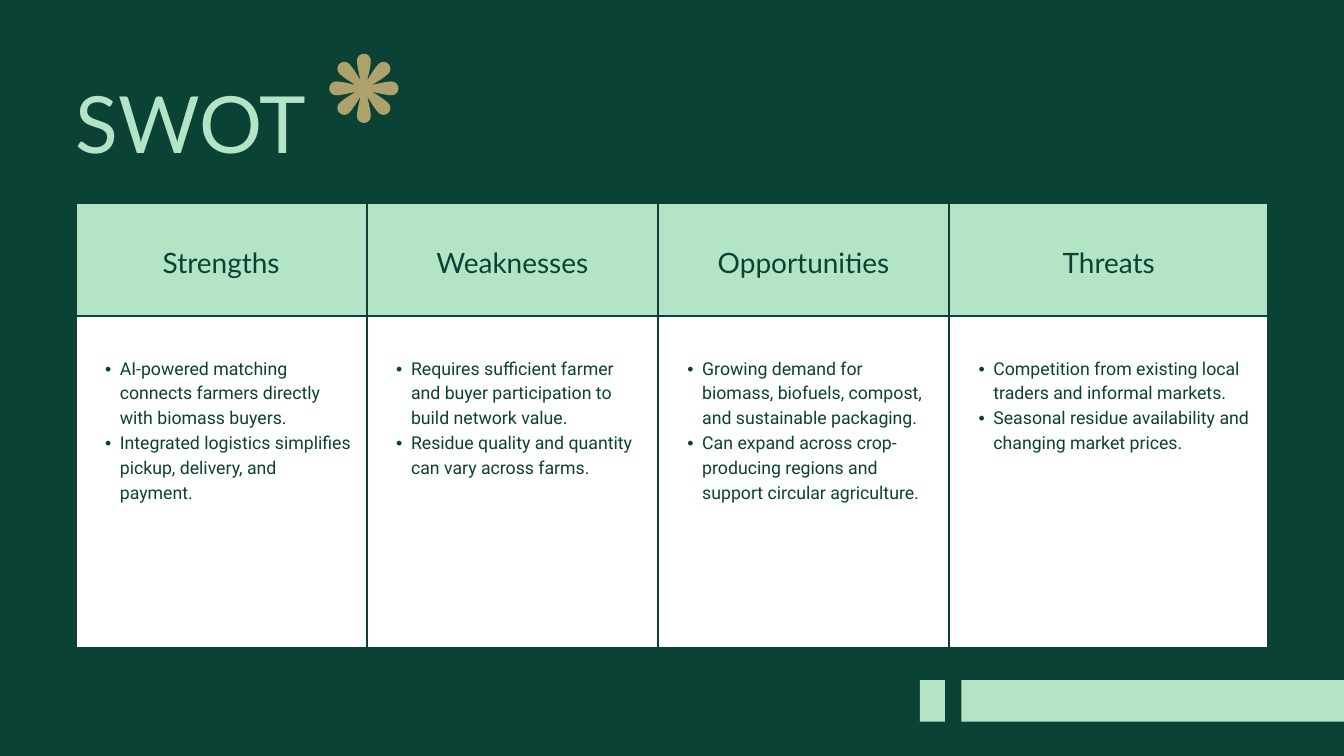
from math import cos, radians, sin

from lxml.etree import SubElement
from pptx import Presentation
from pptx.dml.color import RGBColor as RGB
from pptx.enum.shapes import MSO_SHAPE as SHAPE
from pptx.enum.text import MSO_ANCHOR as ANCHOR, PP_ALIGN as ALIGN
from pptx.oxml.ns import qn
from pptx.util import Pt

TITLE = "SWOT"
SWOT = {
    "Strengths": [
        "AI-powered matching connects farmers directly with biomass buyers.",
        "Integrated logistics simplifies pickup, delivery, and payment.",
    ],
    "Weaknesses": [
        "Requires sufficient farmer and buyer participation to build network value.",
        "Residue quality and quantity can vary across farms.",
    ],
    "Opportunities": [
        "Growing demand for biomass, biofuels, compost, and sustainable packaging.",
        "Can expand across crop-producing regions and support circular agriculture.",
    ],
    "Threats": [
        "Competition from existing local traders and informal markets.",
        "Seasonal residue availability and changing market prices.",
    ],
}

THEME = {
    "dark": "0B4236",
    "mint": "B3E4C5",
    "gold": "ADA26A",
    "white": "FFFFFF",
    "bullet": "Arial",
    "title": {"name": "Lato", "size": Pt(84.5), "color": "mint", "leading": 101.4},
    "heading": {"name": "Lato", "size": Pt(30), "color": "dark", "leading": 42},
    "body": {"name": "Roboto", "size": Pt(19), "color": "dark", "leading": 26.6},
}

SLIDE_W, SLIDE_H = 1440, 810
LEFT = 81
COLUMN_WIDTHS = [312, 312, 312, 342]
ROW_HEIGHTS = [120.96, 356.4]
TABLE_TOP = 217.44
CELL_INSET = 15
BORDER = 3
BULLET_INDENT, BULLET_HANGING = 32.4, 15.84
SIDES = ("left", "right", "top", "bottom")

BAR_TOP, BAR_HEIGHT = 728.64, 44.64
BARS = [(985.5, 27), (1029.9, 421.2)]

FLOWER_CENTER = (389.9, 94.7)
PETALS = 8
PETAL_START = (8.5, -3.5)
PETAL_CURVES = [
    (16, -5.4), (25, -7.4), (29.7, -7.4),
    (33.8, -7.4), (37.1, -4.1), (37.1, 0),
    (37.1, 4.1), (33.8, 7.4), (29.7, 7.4),
    (25, 7.4), (16, 5.4), (8.5, 3.5),
]


def color(key):
    return RGB.from_string(THEME[key])


def paint(target, key):
    target.fill.solid()
    target.fill.fore_color.rgb = color(key)


def finish(shape, key):
    paint(shape, key)
    shape.line.fill.background()
    shape.shadow.inherit = False


def write(paragraph, words, style, **layout):
    look = THEME[style]
    layout["line_spacing"] = Pt(look["leading"])
    for key, value in layout.items():
        setattr(paragraph, key, value)
    run = paragraph.add_run()
    run.text = words
    for key in ("name", "size"):
        setattr(run.font, key, look[key])
    run.font.color.rgb = color(look["color"])


def add_bullet(paragraph):
    props = paragraph._p.get_or_add_pPr()
    props.set("marL", str(Pt(BULLET_INDENT)))
    props.set("indent", str(-Pt(BULLET_HANGING)))
    SubElement(props, qn("a:buFont")).set("typeface", THEME["bullet"])
    SubElement(props, qn("a:buChar")).set("char", "•")


def format_cell(cell, fill, **layout):
    props = cell._tc.get_or_add_tcPr()
    for side in ("lnL", "lnR", "lnT", "lnB"):
        edge = SubElement(props, qn(f"a:{side}"), w=str(Pt(BORDER)))
        solid = SubElement(edge, qn("a:solidFill"))
        SubElement(solid, qn("a:srgbClr"), val=THEME["dark"])
    paint(cell, fill)
    margins = {f"margin_{side}": Pt(CELL_INSET) for side in SIDES}
    for key, value in {**margins, **layout}.items():
        setattr(cell, key, value)


def place_on_petal(point, petal):
    x, y = point
    turn = radians(360 / PETALS * petal)
    center_x, center_y = FLOWER_CENTER
    return (Pt(center_x + x * cos(turn) - y * sin(turn)),
            Pt(center_y + x * sin(turn) + y * cos(turn)))


def add_flower(shapes):
    builder = shapes.build_freeform(*place_on_petal(PETAL_START, 0))
    builder.add_line_segments([place_on_petal(point, petal) for petal in range(PETALS)
                               for point in PETAL_CURVES], close=True)
    flower = builder.convert_to_shape()
    segments = list(flower._element.iter(qn("a:lnTo")))
    for first, second, end in zip(segments[::3], segments[1::3], segments[2::3]):
        curve = first.getparent().makeelement(qn("a:cubicBezTo"))
        first.addprevious(curve)
        for segment in (first, second, end):
            curve.append(segment[0])
            segment.getparent().remove(segment)
    finish(flower, "gold")


def add_title(shapes):
    frame = shapes.add_textbox(Pt(LEFT), Pt(79.92), Pt(544.32), Pt(102.24)).text_frame
    for side in SIDES:
        setattr(frame, f"margin_{side}", 0)
    frame.word_wrap = True
    write(frame.paragraphs[0], TITLE, "title")


def add_swot(shapes):
    table = shapes.add_table(len(ROW_HEIGHTS), len(SWOT), Pt(LEFT), Pt(TABLE_TOP),
                             Pt(sum(COLUMN_WIDTHS)), Pt(sum(ROW_HEIGHTS))).table
    table.first_row = table.horz_banding = False
    for row, height in zip(table.rows, ROW_HEIGHTS):
        row.height = Pt(height)
    body_top = Pt(CELL_INSET + THEME["body"]["leading"])
    for index, (heading, points) in enumerate(SWOT.items()):
        table.columns[index].width = Pt(COLUMN_WIDTHS[index])
        head, body = table.cell(0, index), table.cell(1, index)
        format_cell(head, "mint", vertical_anchor=ANCHOR.MIDDLE)
        write(head.text_frame.paragraphs[0], heading, "heading", alignment=ALIGN.CENTER)
        format_cell(body, "white", margin_top=body_top, vertical_anchor=ANCHOR.TOP)
        for number, point in enumerate(points):
            frame = body.text_frame
            paragraph = frame.add_paragraph() if number else frame.paragraphs[0]
            add_bullet(paragraph)
            write(paragraph, point, "body", level=1)


def add_bars(shapes):
    for left, width in BARS:
        bar = shapes.add_shape(SHAPE.RECTANGLE, Pt(left), Pt(BAR_TOP), Pt(width), Pt(BAR_HEIGHT))
        finish(bar, "mint")


def main():
    deck = Presentation()
    deck.slide_width, deck.slide_height = Pt(SLIDE_W), Pt(SLIDE_H)
    slide = deck.slides.add_slide(deck.slide_layouts[6])
    paint(slide.background, "dark")
    for add_part in (add_flower, add_title, add_swot, add_bars):
        add_part(slide.shapes)
    deck.save("out.pptx")


if __name__ == "__main__":
    main()
